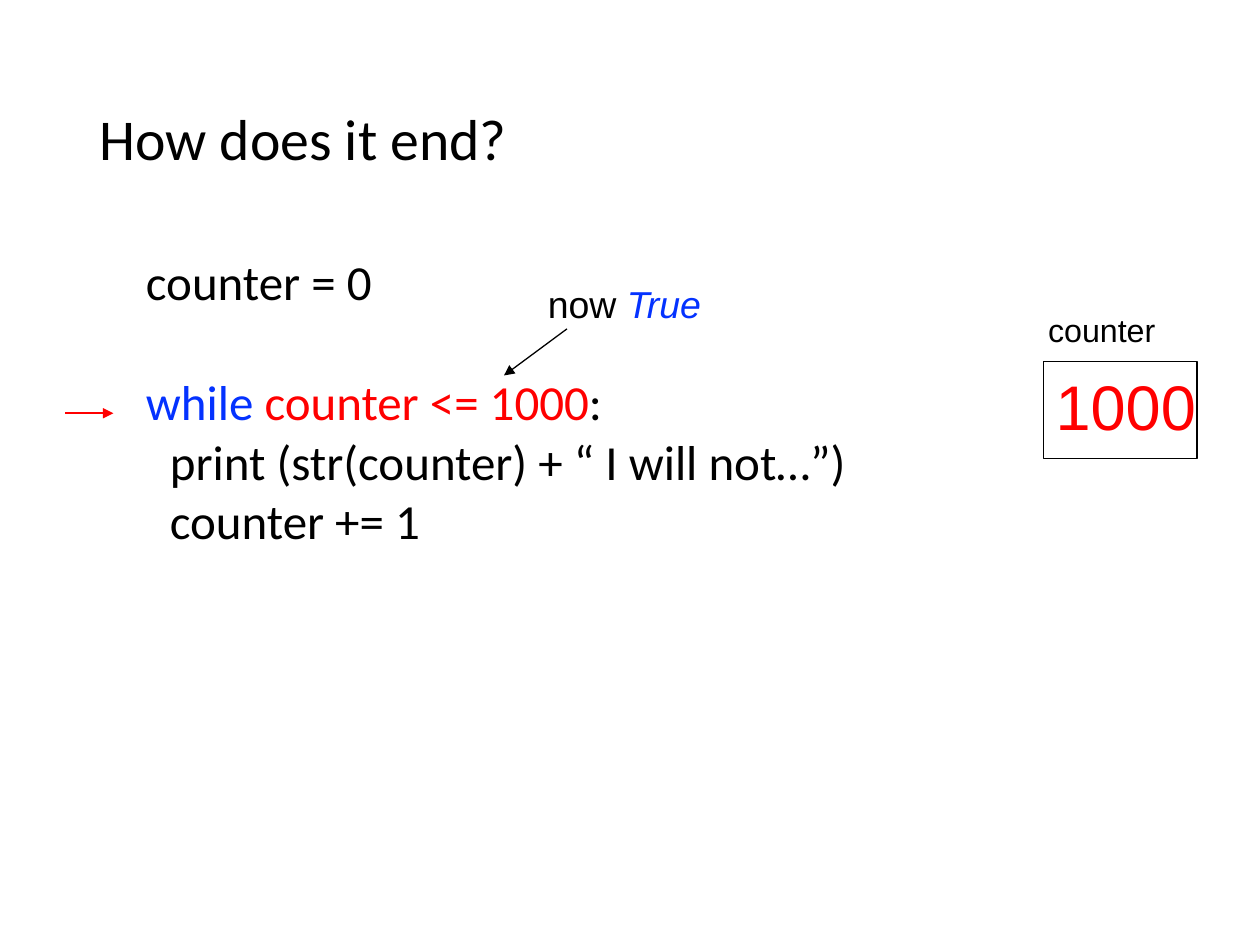
"""Build a slide that traces the end of a counting while loop."""
import pptx
import pptx.dml.color
import pptx.enum.shapes
import pptx.enum.text
import pptx.oxml
import pptx.oxml.ns
import pptx.util
from pptx.util import Inches

BLACK = pptx.dml.color.RGBColor(0x00, 0x00, 0x00)
RED = pptx.dml.color.RGBColor(0xFF, 0x00, 0x00)
BLUE = pptx.dml.color.RGBColor(0x04, 0x32, 0xFF)

TITLE = "How does it end?"
STATEMENT_INDENT, BLOCK_INDENT = 0.37, 0.56
CODE = [
    (STATEMENT_INDENT, 0, [("counter = 0", BLACK)]),
    (STATEMENT_INDENT, 38.3, [("while ", BLUE), ("counter <= 1000", RED), (":", BLACK)]),
    (BLOCK_INDENT, 3.8, [("print (str(counter) + “ I will not…”)", BLACK)]),
    (BLOCK_INDENT, 3.8, [("counter += 1", BLACK)]),
]
VARIABLE_BOX = (8.28, 2.87, 1.22, 0.77)
LABELS = [
    ((8.22, 2.41, 1.06, 0.41), 18.4, False, [("counter", BLACK)]),
    ((8.28, 2.87, 1.32, 0.71), 36, False, [("1000", RED)]),
    ((4.25, 2.18, 1.56, 0.46), 21.4, True, [("now ", BLACK), ("True", BLUE, True)]),
]
ARROWS = [
    ((0.52, 3.28), (0.9, 3.28), RED, 1.25),
    ((4.5, 2.61), (4, 2.98), BLACK, 0.75),
]


def add_runs(para, runs, font, size):
    for text, color, *italic in runs:
        span = para.add_run()
        span.text = text
        span.font.name = font
        span.font.size = pptx.util.Pt(size)
        span.font.color.rgb = color
        if italic:
            span.font.italic = True


def add_text(page, place, paragraphs, font, size, wrap=True):
    box = page.shapes.add_textbox(*map(Inches, place))
    frame = box.text_frame
    frame.word_wrap = wrap
    for index, (indent, before, runs) in enumerate(paragraphs):
        para = frame.add_paragraph() if index else frame.paragraphs[0]
        para.space_before = pptx.util.Pt(before)
        if indent:
            para._p.get_or_add_pPr().set("marL", str(Inches(indent)))
        add_runs(para, runs, font, size)
    return frame


def add_arrow(page, start, end, color, width):
    arrow = page.shapes.add_connector(
        pptx.enum.shapes.MSO_CONNECTOR.STRAIGHT, *map(Inches, start + end))
    arrow.line.color.rgb = color
    arrow.line.width = pptx.util.Pt(width)
    head = pptx.oxml.parse_xml(
        f'<a:tailEnd {pptx.oxml.ns.nsdecls("a")} type="triangle"/>')
    arrow.line._get_or_add_ln().append(head)
    effects = pptx.oxml.parse_xml(f'<a:effectLst {pptx.oxml.ns.nsdecls("a")}/>')
    arrow._element.spPr.append(effects)


def main():
    deck = pptx.Presentation()
    deck.slide_width, deck.slide_height = Inches(10), Inches(7.5)
    page = deck.slides.add_slide(deck.slide_layouts[6])

    title = add_text(page, (0.69, 0.4, 8.62, 1.45), [(0, 0, [(TITLE, BLACK)])], "Calibri", 33)
    title.vertical_anchor = pptx.enum.text.MSO_ANCHOR.MIDDLE
    code = add_text(page, (0.69, 2, 8.62, 4.76), CODE, "Calibri", 28)
    for para in [*title.paragraphs, *code.paragraphs]:
        para.line_spacing = 0.9

    variable = page.shapes.add_shape(
        pptx.enum.shapes.MSO_SHAPE.RECTANGLE, *map(Inches, VARIABLE_BOX))
    variable.shadow.inherit = False
    variable.fill.background()
    variable.line.color.rgb = BLACK
    variable.line.width = pptx.util.Pt(0.75)

    for place, size, wrap, runs in LABELS:
        label = add_text(page, place, [(0, 0, runs)], "Arial", size, wrap)
        label.auto_size = pptx.enum.text.MSO_AUTO_SIZE.SHAPE_TO_FIT_TEXT
    for arrow in ARROWS:
        add_arrow(page, *arrow)

    deck.save("out.pptx")


if __name__ == "__main__":
    main()
